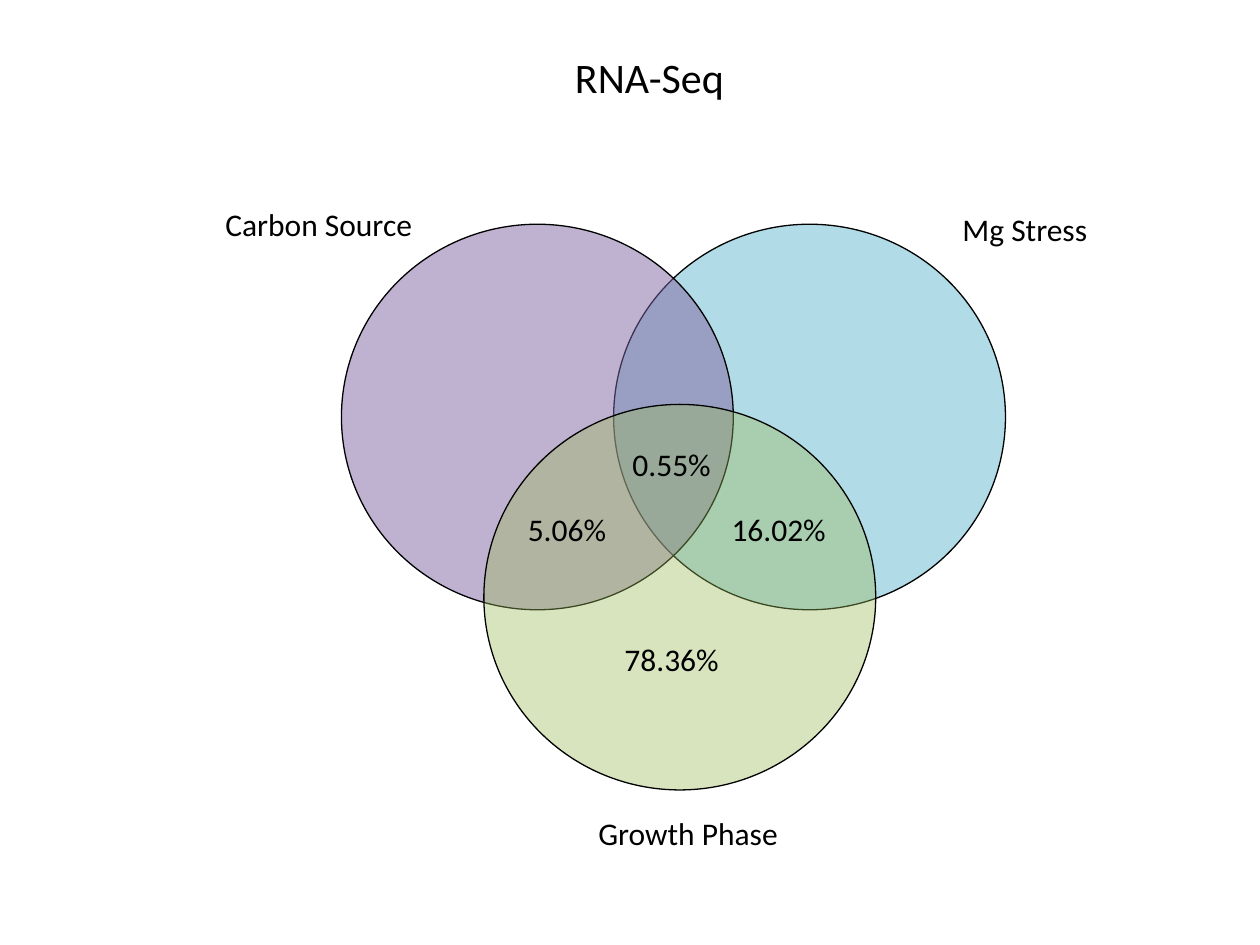
import pptx
import pptx.dml.color
import pptx.enum.shapes
import pptx.enum.text
import pptx.oxml
import pptx.oxml.ns
import pptx.util

Inches = pptx.util.Inches
Alignment = pptx.enum.text.PP_ALIGN

BLACK = "000000"
CIRCLE_SIZE = (3.11, 3.06)
SHARE_SIZE = (0.98, 0.4)
LABEL_HEIGHT = 0.4

# left, top, fill, opacity in percent; from back to front
CIRCLES = [
    (4.87, 1.78, "4BACC6", 43),
    (2.71, 1.78, "8064A2", 50),
    (3.84, 3.21, "9BBB59", 39),
]
# text, left, top
SHARES = [
    ("5.06%", 4.01, 4.0),
    ("0.55%", 4.84, 3.48),
    ("16.02%", 5.69, 4.0),
    ("78.36%", 4.84, 5.03),
]
# text, left, top, width
SET_NAMES = [
    ("Carbon Source", 1.69, 1.58, 1.7),
    ("Mg Stress", 7.54, 1.62, 1.21),
    ("Growth Phase", 4.65, 6.41, 1.65),
]


def color(hex_value):
    return pptx.dml.color.RGBColor.from_string(hex_value)


def set_opacity(fill, percent):
    """Add an alpha value, which python-pptx has no public method for."""
    xml_color = fill._xPr.find(".//" + pptx.oxml.ns.qn("a:srgbClr"))
    alpha = pptx.oxml.parse_xml(
        f'<a:alpha {pptx.oxml.ns.nsdecls("a")} val="{percent * 1000}"/>')
    xml_color.append(alpha)


def write_text(box, text, size, alignment, wrap):
    frame = box.text_frame
    frame_format = {
        "word_wrap": wrap,
        "auto_size": pptx.enum.text.MSO_AUTO_SIZE.NONE,
        "vertical_anchor": pptx.enum.text.MSO_ANCHOR.TOP,
    }
    for name, value in frame_format.items():
        setattr(frame, name, value)
    para = frame.paragraphs[0]
    para.alignment = alignment
    span = para.add_run()
    span.text = text
    for name, value in {"name": "Calibri", "size": pptx.util.Pt(size)}.items():
        setattr(span.font, name, value)
    span.font.color.rgb = color(BLACK)


def add_title(slide, text):
    title = slide.shapes.title
    place = {"left": 1.31, "top": 0.36, "width": 7.69, "height": 0.5}
    for name, value in place.items():
        setattr(title, name, Inches(value))
    write_text(title, text, 24, Alignment.CENTER, True)


def add_circle(diagram, left, top, fill, opacity):
    circle = diagram.shapes.add_shape(
        pptx.enum.shapes.MSO_SHAPE.OVAL,
        Inches(left), Inches(top), *map(Inches, CIRCLE_SIZE))
    circle.shadow.inherit = False
    circle.fill.solid()
    circle.fill.fore_color.rgb = color(fill)
    set_opacity(circle.fill, opacity)
    circle.line.color.rgb = color(BLACK)
    circle.line.width = pptx.util.Pt(0.75)


def add_label(diagram, text, place, alignment, wrap):
    box = diagram.shapes.add_textbox(*map(Inches, place))
    write_text(box, text, 18, alignment, wrap)


def main():
    deck = pptx.Presentation()
    deck.slide_width, deck.slide_height = Inches(10), Inches(7.5)
    slide = deck.slides.add_slide(deck.slide_layouts.get_by_name("Title Only"))
    add_title(slide, "RNA-Seq")

    diagram = slide.shapes.add_group_shape()
    for circle in CIRCLES:
        add_circle(diagram, *circle)
    for text, left, top in SHARES:
        add_label(diagram, text, (left, top, *SHARE_SIZE), Alignment.CENTER, True)
    for text, left, top, width in SET_NAMES:
        add_label(diagram, text, (left, top, width, LABEL_HEIGHT), Alignment.LEFT, False)

    deck.save("out.pptx")


if __name__ == "__main__":
    main()
